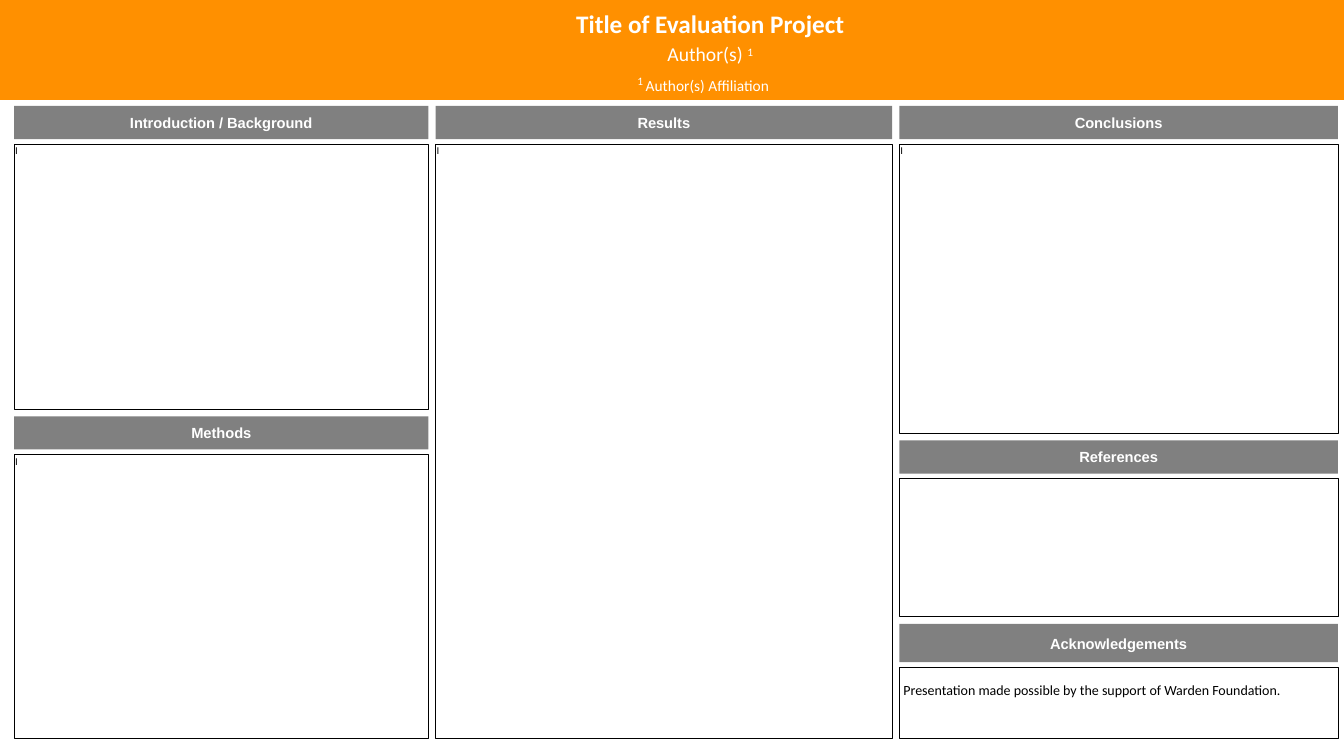
"""Builds a three-column evaluation poster with a title banner."""
import pptx
import pptx.dml.color
import pptx.enum.shapes
import pptx.enum.text
import pptx.util

Inches, Pt = pptx.util.Inches, pptx.util.Pt
RGBColor = pptx.dml.color.RGBColor
ALIGN = pptx.enum.text.PP_ALIGN
ANCHOR = pptx.enum.text.MSO_ANCHOR

ORANGE = RGBColor(0xFF, 0x90, 0x00)
GRAY = RGBColor(0x80, 0x80, 0x80)
WHITE = RGBColor(0xFF, 0xFF, 0xFF)
BLACK = RGBColor(0x00, 0x00, 0x00)

W, H = 13.33, 7.5
LEFT, GAP = 0.14, 0.07
TOP, BOTTOM = 1.05, 7.33
HEAD_GAP, INSET = 0.05, 0.01

prs = pptx.Presentation()
prs.slide_width, prs.slide_height = Inches(W), Inches(H)
s = prs.slides.add_slide(prs.slide_layouts[6])


def add_box(left, top, width, height, fill=None, line=None):
    sp = s.shapes.add_shape(pptx.enum.shapes.MSO_SHAPE.RECTANGLE,
                            Inches(left), Inches(top), Inches(width), Inches(height))
    sp.shadow.inherit = False
    if fill is None:
        sp.fill.background()
    else:
        sp.fill.solid()
        sp.fill.fore_color.rgb = fill
    if line is None:
        sp.line.fill.background()
    else:
        sp.line.color.rgb = line
        sp.line.width = Pt(0.5)
    return sp


def add_text(sp, runs, font, color, align, anchor, inset=INSET, bold=False):
    tf = sp.text_frame
    tf.word_wrap = True
    tf.vertical_anchor = anchor
    tf.margin_left = tf.margin_right = tf.margin_top = tf.margin_bottom = Inches(inset)
    p = tf.paragraphs[0]
    p.alignment = align
    for text, size, raised in runs:
        r = p.add_run()
        r.text = text
        r.font.name, r.font.size, r.font.bold = font, Pt(size), bold
        r.font.color.rgb = color
        if raised:
            r._r.get_or_add_rPr().set("baseline", "30000")
    return tf


add_box(0, 0, W, 0.99, fill=ORANGE)
banner = [
    (3.79, 0.07, 6.51, 0.43, True, [("Title of Evaluation Project", 18, False)]),
    (4.44, 0.41, 5.21, 0.22, False, [("Author(s) ", 14, False), ("1", 14, True)]),
    (4.37, 0.70, 5.21, 0.22, False, [("1 ", 14, True), ("Author(s) Affiliation", 11, False)]),
]
for left, top, width, height, bold, runs in banner:
    tb = s.shapes.add_textbox(Inches(left), Inches(top), Inches(width), Inches(height))
    add_text(tb, runs, "Calibri", WHITE, ALIGN.CENTER, ANCHOR.TOP, bold=bold)

THANKS = "Presentation made possible by the support of Warden Foundation."
columns = [
    (4.11, [("Introduction / Background", TOP, 0.33, "I"), ("Methods", 4.13, 0.33, "I")]),
    (4.53, [("Results", TOP, 0.33, "I")]),
    (4.35, [("Conclusions", TOP, 0.33, "I"), ("References", 4.37, 0.33, ""),
            ("Acknowledgements", 6.19, 0.38, THANKS)]),
]
left = LEFT
for width, sections in columns:
    ends = [top - GAP for _, top, _, _ in sections[1:]] + [BOTTOM]
    for (heading, top, height, body), end in zip(sections, ends):
        sp = add_box(left, top, width, height, fill=GRAY)
        add_text(sp, [(heading, 10.5, False)], "Arial", WHITE, ALIGN.CENTER,
                 ANCHOR.MIDDLE, inset=0.05, bold=True)
        body_top = top + height + HEAD_GAP
        sp = add_box(left, body_top, width, end - body_top, line=BLACK)
        if body == THANKS:
            tf = add_text(sp, [(body, 10, False)], "Calibri", BLACK, ALIGN.LEFT, ANCHOR.TOP)
            tf.margin_left, tf.margin_top = Inches(0.04), Inches(0.14)
        elif body:
            add_text(sp, [(body, 7, False)], "Arial", BLACK, ALIGN.LEFT, ANCHOR.TOP)
    left += width + GAP

prs.save("out.pptx")
